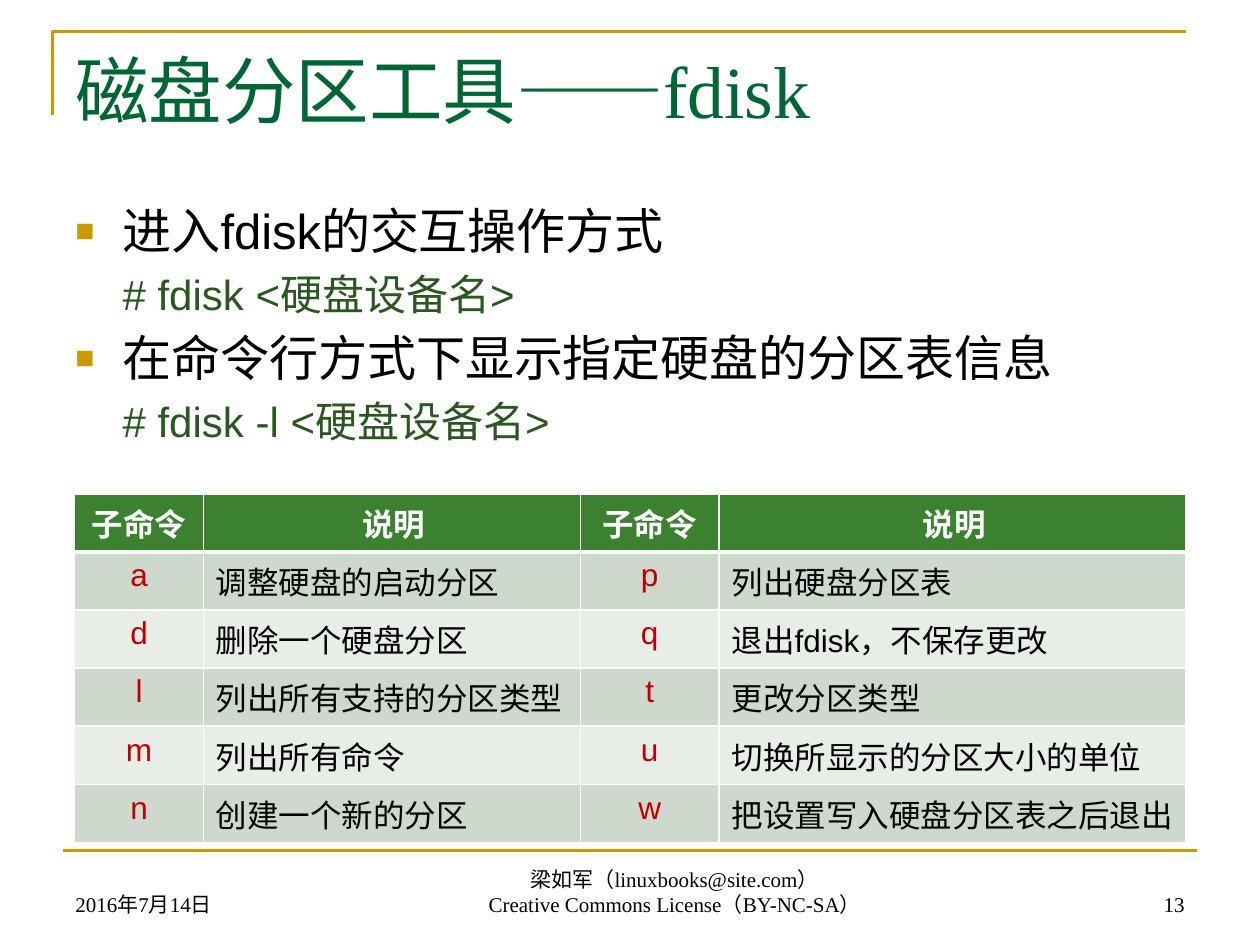
from lxml import etree
from pptx import Presentation
from pptx import util as u
from pptx.dml.color import RGBColor
from pptx.enum import shapes, text
from pptx.oxml import ns

Pt = u.Pt
GOLD = RGBColor(0xCC, 0x99, 0x00)
TITLE_GREEN = RGBColor(0x00, 0x66, 0x33)
COMMAND_GREEN = RGBColor(0x28, 0x57, 0x20)
HEADER_GREEN = RGBColor(0x3B, 0x81, 0x2F)
BANDS = [RGBColor(0xCE, 0xD8, 0xCD), RGBColor(0xE8, 0xED, 0xE8)]
RED = RGBColor(0xC0, 0x00, 0x00)
BLACK = RGBColor(0x00, 0x00, 0x00)
WHITE = RGBColor(0xFF, 0xFF, 0xFF)
LEFT, CENTER, RIGHT = text.PP_ALIGN.LEFT, text.PP_ALIGN.CENTER, text.PP_ALIGN.RIGHT
TOP, BOTTOM = text.MSO_ANCHOR.TOP, text.MSO_ANCHOR.BOTTOM

deck = Presentation()
deck.slide_width, deck.slide_height = Pt(720), Pt(540)
page = deck.slides.add_slide(deck.slide_layouts[6])


def write(para, words, color, align=LEFT, **font):
    para.alignment = align
    span = para.add_run()
    span.text = words
    for name, value in font.items():
        setattr(span.font, name, value)
    span.font.color.rgb = color


def add_box(left, top, width, height, anchor=TOP):
    frame = page.shapes.add_textbox(Pt(left), Pt(top), Pt(width), Pt(height)).text_frame
    frame.word_wrap = True
    frame.vertical_anchor = anchor
    return frame


# Gold corner and footer rule
builder = page.shapes.build_freeform(Pt(30), Pt(66))
builder.add_line_segments([(Pt(30), Pt(18)), (Pt(678), Pt(18))], close=False)
corner = builder.convert_to_shape()
corner.shadow.inherit = False
corner.fill.background()
rule = page.shapes.add_connector(shapes.MSO_CONNECTOR.STRAIGHT, Pt(36), Pt(486), Pt(684), Pt(486))
for outline in (corner.line, rule.line):
    outline.color.rgb = GOLD
    outline.width = Pt(1.5)
etree.SubElement(rule._element.spPr, ns.qn("a:effectLst"))

# Title
title = add_box(36, 22, 648, 90)
write(title.paragraphs[0], "磁盘分区工具——fdisk", TITLE_GREEN, size=Pt(42), name="Times New Roman")

# Bulleted points, each followed by its command
points = [
    ("进入fdisk的交互操作方式", "# fdisk <硬盘设备名>"),
    ("在命令行方式下显示指定硬盘的分区表信息", "# fdisk -l <硬盘设备名>"),
]
body = add_box(36, 111.3, 648, 153.4)
for number, (point, command) in enumerate(points):
    para = body.add_paragraph() if number else body.paragraphs[0]
    if number:
        para.space_before = Pt(5)
    props = para._p.get_or_add_pPr()
    props.set("marL", str(Pt(27)))
    props.set("indent", str(Pt(-27)))
    color = etree.SubElement(props, ns.qn("a:buClr"))
    etree.SubElement(color, ns.qn("a:srgbClr"), val=str(GOLD))
    etree.SubElement(props, ns.qn("a:buSzPct"), val="65000")
    etree.SubElement(props, ns.qn("a:buFont"), typeface="Arial")
    etree.SubElement(props, ns.qn("a:buChar"), char="■")
    write(para, point, BLACK, size=Pt(28), name="Arial")

    para = body.add_paragraph()
    para.level = 1
    para.space_before = Pt(5)
    props = para._p.get_or_add_pPr()
    props.set("marL", str(Pt(52.5)))
    props.set("indent", str(Pt(-25.5)))
    etree.SubElement(props, ns.qn("a:buNone"))
    write(para, command, COMMAND_GREEN, size=Pt(24), name="Arial")

# Date, author and page number
footers = [
    (36, 168, LEFT, ["2016年7月14日"]),
    (172.8, 425.5, CENTER, ["梁如军（linuxbooks@site.com）", "Creative Commons License（BY-NC-SA）"]),
    (516, 168, RIGHT, ["13"]),
]
for left, width, align, lines in footers:
    frame = add_box(left, 491.5, width, 36, BOTTOM)
    for number, line in enumerate(lines):
        para = frame.add_paragraph() if number else frame.paragraphs[0]
        write(para, line, BLACK, align, size=Pt(12), name="Times New Roman")

# Subcommand table
rows = [
    ("子命令", "说明", "子命令", "说明"),
    ("a", "调整硬盘的启动分区", "p", "列出硬盘分区表"),
    ("d", "删除一个硬盘分区", "q", "退出fdisk，不保存更改"),
    ("l", "列出所有支持的分区类型", "t", "更改分区类型"),
    ("m", "列出所有命令", "u", "切换所显示的分区大小的单位"),
    ("n", "创建一个新的分区", "w", "把设置写入硬盘分区表之后退出"),
]
widths = [73.5, 215.5, 79.2, 266.8]
row_height = 33.2
cell_margins = {"margin_left": Pt(7.2), "margin_right": Pt(5)}
table = page.shapes.add_table(
    len(rows), len(widths), Pt(42.7), Pt(282.2), Pt(sum(widths)), Pt(row_height * len(rows))
).table
for column, width in zip(table.columns, widths):
    column.width = Pt(width)
for r, row in enumerate(rows):
    for c, words in enumerate(row):
        cell = table.cell(r, c)
        if c % 2:
            for name, value in cell_margins.items():
                setattr(cell, name, value)
        props = cell._tc.get_or_add_tcPr()
        for side in "LRTB":
            thick = (r, side) in ((0, "B"), (1, "T"))
            border = etree.SubElement(props, ns.qn("a:ln" + side), w=str(Pt(3 if thick else 1)))
            paint = etree.SubElement(border, ns.qn("a:solidFill"))
            etree.SubElement(paint, ns.qn("a:srgbClr"), val=str(WHITE))
        cell.fill.solid()
        cell.fill.fore_color.rgb = BANDS[(r - 1) % 2] if r else HEADER_GREEN
        is_command = c % 2 == 0
        color = WHITE if r == 0 else RED if is_command else BLACK
        align = CENTER if r == 0 or is_command else LEFT
        write(cell.text_frame.paragraphs[0], words, color, align,
              size=Pt(18), name="Arial", bold=r == 0)

deck.save("out.pptx")
